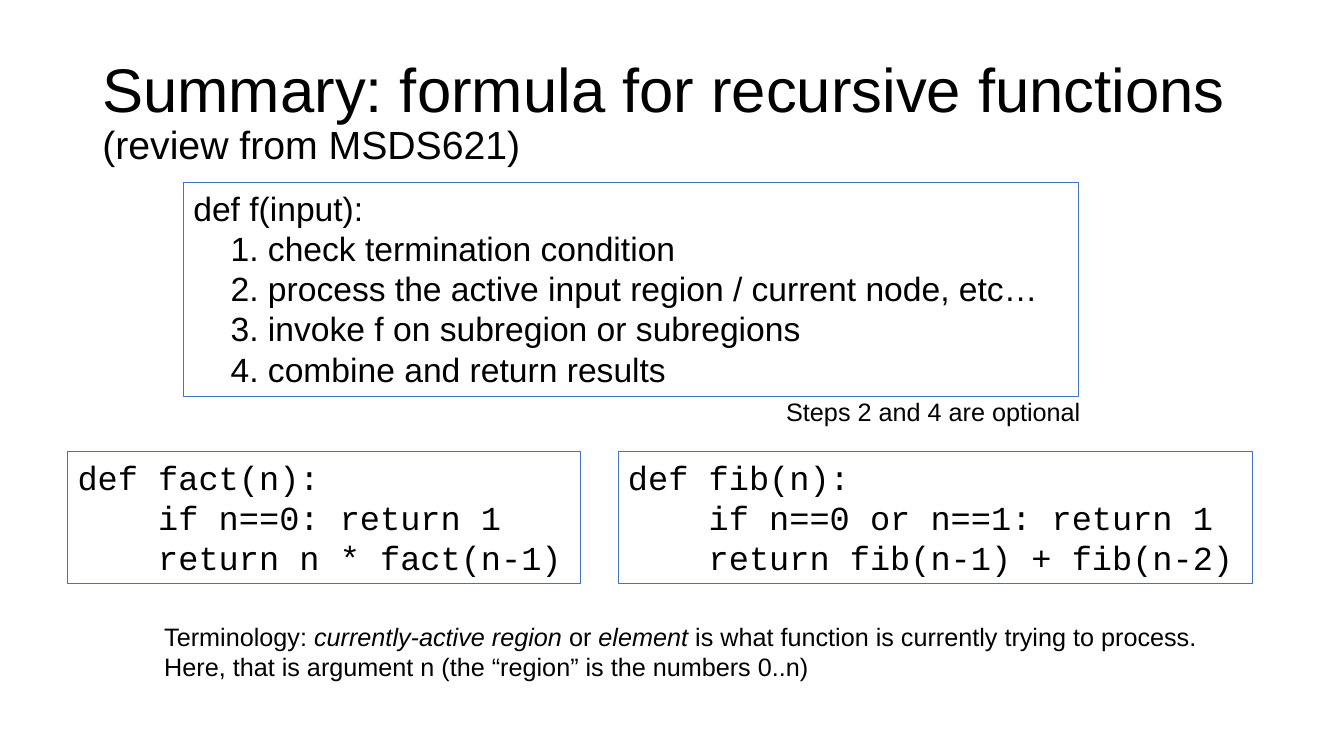
from dataclasses import dataclass

from pptx import Presentation
from pptx.dml.color import RGBColor
from pptx.enum.shapes import MSO_SHAPE
from pptx.enum.text import MSO_ANCHOR, MSO_AUTO_SIZE, PP_ALIGN
from pptx.util import Inches, Pt

RECTANGLE = MSO_SHAPE.RECTANGLE
MIDDLE = MSO_ANCHOR.MIDDLE
TOP = MSO_ANCHOR.TOP
FIT_SHAPE = MSO_AUTO_SIZE.SHAPE_TO_FIT_TEXT
LEFT = PP_ALIGN.LEFT

SLIDE_WIDTH, SLIDE_HEIGHT = Inches(13.33), Inches(7.5)


@dataclass(frozen=True)
class Theme:
    ink: RGBColor = RGBColor(0x00, 0x00, 0x00)
    outline: RGBColor = RGBColor(0x44, 0x72, 0xC4)
    outline_width: float = 0.75
    text_font: str = "Arial"
    code_font: str = "Courier New"
    title_size: int = 44
    subtitle_size: int = 28
    panel_size: int = 24
    note_size: int = 18


THEME = Theme()


@dataclass(frozen=True)
class Area:
    """Place on the slide, in percent of its width and height."""
    left: float
    top: float
    width: float
    height: float

    def lengths(self) -> tuple[int, int, int, int]:
        return (
            int(SLIDE_WIDTH * self.left / 100),
            int(SLIDE_HEIGHT * self.top / 100),
            int(SLIDE_WIDTH * self.width / 100),
            int(SLIDE_HEIGHT * self.height / 100),
        )


@dataclass(frozen=True)
class Span:
    text: str
    italic: bool = False


@dataclass(frozen=True)
class Panel:
    area: Area
    font: str
    code: str


@dataclass(frozen=True)
class Note:
    area: Area
    lines: tuple[tuple[Span, ...], ...]


CODE_TOP, CODE_HEIGHT = 59.73, 17.47

PANELS = (
    Panel(Area(5.03, CODE_TOP, 38.18, CODE_HEIGHT), THEME.code_font,
          """def fact(n):
    if n==0: return 1
    return n * fact(n-1)"""),
    Panel(Area(13.65, 24.13, 66.6, 28.27), THEME.text_font,
          """def f(input):
    1. check termination condition
    2. process the active input region / current node, etc…
    3. invoke f on subregion or subregions
    4. combine and return results"""),
    Panel(Area(45.99, CODE_TOP, 47.18, CODE_HEIGHT), THEME.code_font,
          """def fib(n):
    if n==0 or n==1: return 1
    return fib(n-1) + fib(n-2)"""),
)

NOTES = (
    Note(Area(57.76, 51.73, 23.63, 5.33),
         ((Span("Steps 2 and 4 are optional"),),)),
    Note(Area(11.48, 81.47, 79.05, 9.47), (
        (Span("Terminology: "), Span("currently-active region ", True),
         Span("or "), Span("element ", True),
         Span("is what function is currently trying to process.")),
        (Span("Here, that is argument n (the “region” is the numbers 0..n)"),),
    )),
)


def set_font(paragraph, name: str, size: int) -> None:
    paragraph.alignment = LEFT
    paragraph.font.name = name
    paragraph.font.size = Pt(size)
    paragraph.font.color.rgb = THEME.ink


def write_lines(frame, lines: tuple[tuple[Span, ...], ...], font: str, size: int) -> None:
    for number, line in enumerate(lines):
        paragraph = frame.add_paragraph() if number else frame.paragraphs[0]
        set_font(paragraph, font, size)
        for span in line:
            run = paragraph.add_run()
            run.text = span.text
            if span.italic:
                run.font.italic = True


def add_title(page, area: Area, title: str, subtitle: str) -> None:
    frame = page.shapes.add_textbox(*area.lengths()).text_frame
    frame.word_wrap = True
    frame.vertical_anchor = MIDDLE
    paragraph = frame.paragraphs[0]
    set_font(paragraph, THEME.text_font, THEME.title_size)
    paragraph.line_spacing = 0.9
    paragraph.add_run().text = title
    paragraph.add_line_break()
    run = paragraph.add_run()
    run.text = subtitle
    run.font.size = Pt(THEME.subtitle_size)


def add_panel(page, panel: Panel) -> None:
    box = page.shapes.add_shape(RECTANGLE, *panel.area.lengths())
    box.shadow.inherit = False
    box.fill.background()
    box.line.color.rgb = THEME.outline
    box.line.width = Pt(THEME.outline_width)
    frame = box.text_frame
    frame.word_wrap = True
    frame.auto_size = FIT_SHAPE
    frame.vertical_anchor = TOP
    lines = tuple((Span(line),) for line in panel.code.splitlines())
    write_lines(frame, lines, panel.font, THEME.panel_size)


def add_note(page, note: Note) -> None:
    frame = page.shapes.add_textbox(*note.area.lengths()).text_frame
    frame.word_wrap = False
    frame.auto_size = FIT_SHAPE
    write_lines(frame, note.lines, THEME.text_font, THEME.note_size)


def main() -> None:
    deck = Presentation()
    deck.slide_width, deck.slide_height = SLIDE_WIDTH, SLIDE_HEIGHT
    page = deck.slides.add_slide(deck.slide_layouts[6])
    add_title(page, Area(6.88, 5.33, 86.25, 19.33),
              "Summary: formula for recursive functions",
              "(review from MSDS621)")
    for panel in PANELS:
        add_panel(page, panel)
    for note in NOTES:
        add_note(page, note)
    deck.save("out.pptx")


if __name__ == "__main__":
    main()
